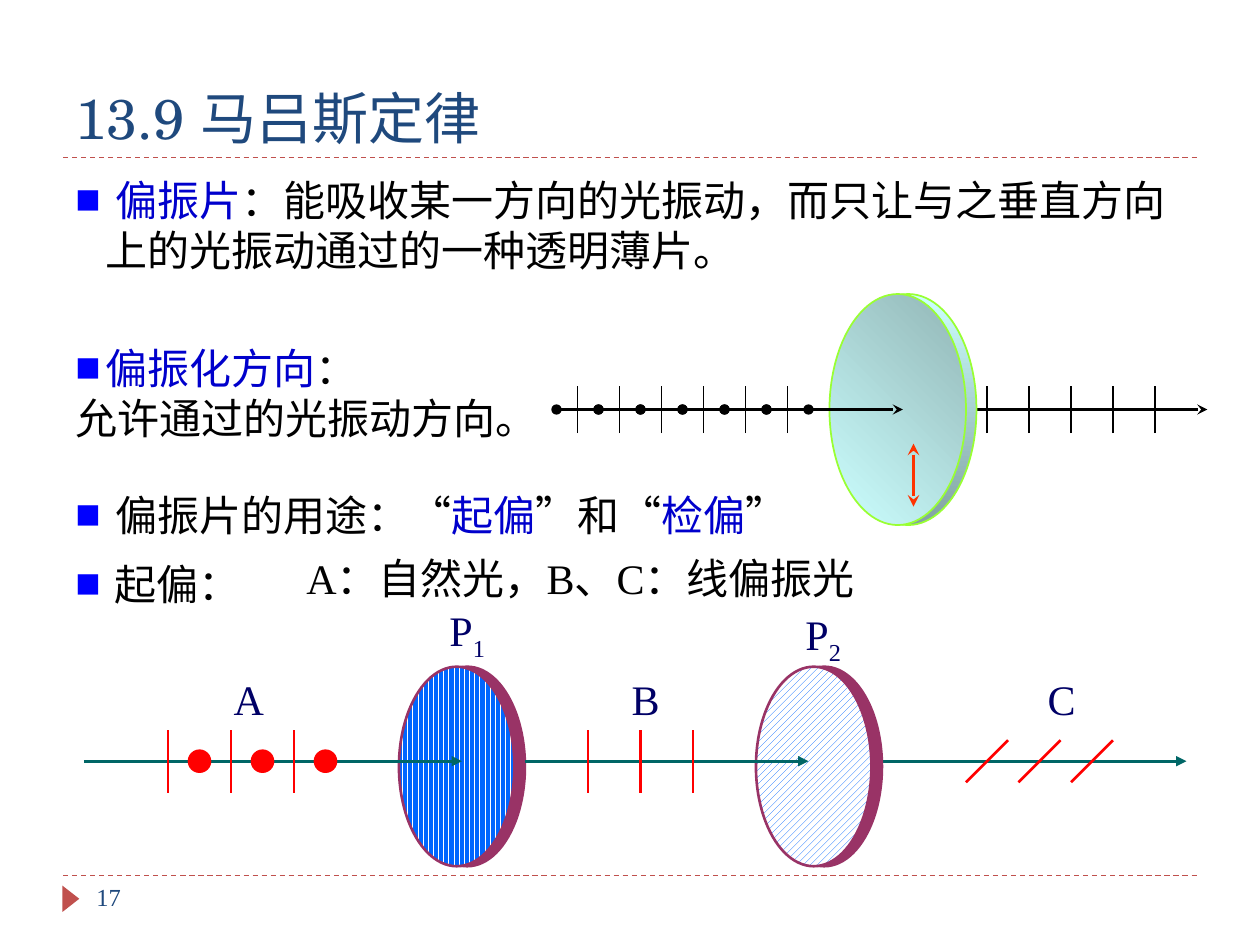
from lxml.etree import SubElement
from pptx import Presentation
from pptx.dml.color import RGBColor
from pptx.enum.dml import MSO_LINE, MSO_PATTERN
from pptx.enum.shapes import MSO_CONNECTOR, MSO_SHAPE
from pptx.enum.text import MSO_ANCHOR, MSO_AUTO_SIZE, PP_ALIGN
from pptx.oxml.ns import qn
from pptx.util import Inches, Pt

COLUMNS, ROWS = 120, 90
WIDTH, HEIGHT = Inches(10), Inches(7.5)

BLACK = RGBColor(0, 0, 0)
WHITE = RGBColor(0xFF, 0xFF, 0xFF)
NAVY = RGBColor(0x1F, 0x49, 0x7D)
BRICK = RGBColor(0xC0, 0x50, 0x4D)
BULLET_BLUE = "0000FF"
TERM_BLUE = RGBColor(0, 0, 0xCC)
LABEL_BLUE = RGBColor(0, 0, 0x66)
STRIPE_BLUE = RGBColor(0, 0x66, 0xFF)
PLUM = RGBColor(0x99, 0x33, 0x66)
TEAL = RGBColor(0, 0x66, 0x66)
RED = RGBColor(0xFF, 0, 0)
ORANGE = RGBColor(0xFF, 0x33, 0)
LIME = RGBColor(0x99, 0xFF, 0x33)
ICE = RGBColor(0xCC, 0xFF, 0xFF)
SLATE = RGBColor(0x82, 0xA2, 0xA2)
MIST = RGBColor(0x92, 0xB6, 0xB6)

SERIF = "Times New Roman"
TITLE = "13.9 马吕斯定律"
PAGE_NUMBER = "17"

TEXTS = [
    ((6, 16, 107.8, 10.8), [(True, [
        (" ", BLACK), ("偏振片", TERM_BLUE),
        ("：能吸收某一方向的光振动，而只让与之垂直方向上的光振动通过的一种透明薄片。", BLACK)])]),
    ((6, 32, 46, 10.8), [
        (True, [("偏振化方向", TERM_BLUE), ("：", BLACK)]),
        (False, [("允许通过的光振动方向。", BLACK)])]),
    ((6, 46, 80.8, 6), [(True, [
        (" 偏振片的用途：“", BLACK), ("起偏", TERM_BLUE), ("”和“", BLACK),
        ("检偏", TERM_BLUE), ("”", BLACK)])]),
    ((28, 52, 65, 6), [(False, [("A：自然光，B、C：线偏振光", BLACK)])]),
    ((6, 52.6, 24, 6), [(True, [(" 起偏：", BLACK)])]),
]
LABELS = [("A", "", 20.4, 63.6), ("B", "", 58.2, 63.6), ("C", "", 97.8, 63.6),
          ("P", "1", 41.2, 57), ("P", "2", 75.1, 57.4)]

UPPER_AXIS, UPPER_TICK = 39, 2.25
LOWER_AXIS, LOWER_TICK, SLANT = 72.5, 3, 2
DISCS = [(38, MSO_PATTERN.DARK_VERTICAL), (72, MSO_PATTERN.WIDE_UPWARD_DIAGONAL)]


def across(columns):
    return round(WIDTH * columns / COLUMNS)


def down(rows):
    return round(HEIGHT * rows / ROWS)


def frame(left, top, width, height):
    return across(left), down(top), across(width), down(height)


def add_line(page, start, end, color, weight, head=None, tail=None, dash=None):
    line = page.shapes.add_connector(MSO_CONNECTOR.STRAIGHT, across(start[0]), down(start[1]),
                                     across(end[0]), down(end[1]))
    line.line.color.rgb = color
    line.line.width = Pt(weight)
    if dash:
        line.line.dash_style = dash
    for tag, kind in (("a:headEnd", head), ("a:tailEnd", tail)):
        if kind:
            SubElement(line.line._get_or_add_ln(), qn(tag), type=kind)
    SubElement(line._element.spPr, qn("a:effectLst"))


def add_ticks(page, positions, axis, reach, color, weight, slant=0):
    for column in positions:
        add_line(page, (column - slant, axis + reach), (column + slant, axis - reach), color, weight)


def add_shape(page, kind, place, fill=None, outline=None, weight=1.5):
    shape = page.shapes.add_shape(kind, *frame(*place))
    shape.shadow.inherit = False
    if fill is not None:
        shape.fill.solid()
        shape.fill.fore_color.rgb = fill
    if outline is None:
        shape.line.fill.background()
    else:
        shape.line.color.rgb = outline
        shape.line.width = Pt(weight)
    return shape


def add_glass(page, left, dark, angle):
    glass = add_shape(page, MSO_SHAPE.OVAL, (left, 28, 13, 22), outline=LIME, weight=1)
    glass.fill.gradient()
    glass.fill.gradient_angle = angle
    for stop, color in zip(glass.fill.gradient_stops, (ICE, dark)):
        stop.color.rgb = color


def add_disc(page, left, pattern):
    place = (63.5, 11, 19)
    add_shape(page, MSO_SHAPE.OVAL, (left + 1, *place), PLUM, PLUM)
    front = add_shape(page, MSO_SHAPE.OVAL, (left, *place), outline=PLUM)
    front.fill.patterned()
    front.fill.pattern = pattern
    front.fill.fore_color.rgb = STRIPE_BLUE
    front.fill.back_color.rgb = WHITE


def add_bullet(para):
    properties = para._p.get_or_add_pPr()
    properties.set("marL", str(Inches(0.24)))
    properties.set("indent", str(-Inches(0.24)))
    SubElement(SubElement(properties, qn("a:buClr")), qn("a:srgbClr"), val=BULLET_BLUE)
    SubElement(properties, qn("a:buFont"), typeface=SERIF)
    SubElement(properties, qn("a:buChar"), char="■")


def add_text(page, place, paragraphs, size=24, align=PP_ALIGN.LEFT):
    box = page.shapes.add_textbox(*frame(*place))
    box.text_frame.word_wrap = True
    for index, (bulleted, spans) in enumerate(paragraphs):
        para = box.text_frame.add_paragraph() if index else box.text_frame.paragraphs[0]
        para.alignment = align
        if bulleted:
            add_bullet(para)
        para.font.size = Pt(size)
        para.font.name = SERIF
        for words, color in spans:
            span = para.add_run()
            span.text = words
            span.font.color.rgb = color
    return box


def add_title(page):
    title = page.shapes.title
    title.left, title.top, title.width, title.height = frame(6, 3, 108, 12)
    title.text_frame.text = TITLE
    title.text_frame.vertical_anchor = MSO_ANCHOR.BOTTOM
    title.text_frame.auto_size = MSO_AUTO_SIZE.NONE
    para = title.text_frame.paragraphs[0]
    para.alignment = PP_ALIGN.LEFT
    para.font.size = Pt(32)
    para.font.name = "TeX Gyre Schola"
    para.font.color.rgb = NAVY


def add_upper_diagram(page):
    add_line(page, (93, UPPER_AXIS), (115, UPPER_AXIS), BLACK, 1.5, tail="stealth")
    add_ticks(page, range(94, 111, 4), UPPER_AXIS, UPPER_TICK, BLACK, 1)
    add_glass(page, 80, SLATE, 270)
    add_glass(page, 79, MIST, 45)
    add_line(page, (87, 42.25), (87, 48.25), ORANGE, 2.25, "stealth", "stealth")
    for column in range(53, 77, 4):
        add_line(page, (column, UPPER_AXIS), (column + 4, UPPER_AXIS), BLACK, 1.5, "oval", "oval")
    add_line(page, (77, UPPER_AXIS), (86, UPPER_AXIS), BLACK, 1.5, tail="stealth")
    add_ticks(page, range(55, 76, 4), UPPER_AXIS, UPPER_TICK, BLACK, 1)


def add_lower_diagram(page):
    def add_ray(start, end):
        add_line(page, (start, LOWER_AXIS), (end, LOWER_AXIS), TEAL, 1.5, tail="triangle")

    add_ray(80, 113)
    add_ticks(page, range(94, 105, 5), LOWER_AXIS, SLANT, RED, 1.5, SLANT)
    for left, pattern in DISCS:
        add_disc(page, left, pattern)
    add_ray(8, 44)
    add_ticks(page, range(16, 29, 6), LOWER_AXIS, LOWER_TICK, RED, 1.5)
    for left in range(18, 31, 6):
        add_shape(page, MSO_SHAPE.OVAL, (left, LOWER_AXIS - 1, 2, 2), RED, RED)
    add_ray(50, 77)
    add_ticks(page, range(56, 67, 5), LOWER_AXIS, LOWER_TICK, RED, 1.5)
    for letter, subscript, left, top in LABELS:
        spans = [(part, LABEL_BLUE) for part in (letter, subscript) if part]
        box = add_text(page, (left, top, 6.6, 6), [(False, spans)], align=PP_ALIGN.CENTER)
        for span in box.text_frame.paragraphs[0].runs[1:]:
            span.font._element.set("baseline", "-25000")


def main():
    deck = Presentation()
    deck.slide_width, deck.slide_height = WIDTH, HEIGHT
    page = deck.slides.add_slide(deck.slide_layouts[5])
    for row in (83.4, 15):
        add_line(page, (6, row), (114, row), BRICK, 0.75, dash=MSO_LINE.DASH)
    add_shape(page, MSO_SHAPE.ISOSCELES_TRIANGLE, (5.5, 84.8, 2.5, 1.6), BRICK).rotation = 90
    add_title(page)
    add_text(page, (8, 83.4, 26, 4.8), [(False, [(PAGE_NUMBER, NAVY)])], size=14)
    add_upper_diagram(page)
    for place, paragraphs in TEXTS:
        add_text(page, place, paragraphs)
    add_lower_diagram(page)
    deck.save("out.pptx")


if __name__ == "__main__":
    main()
